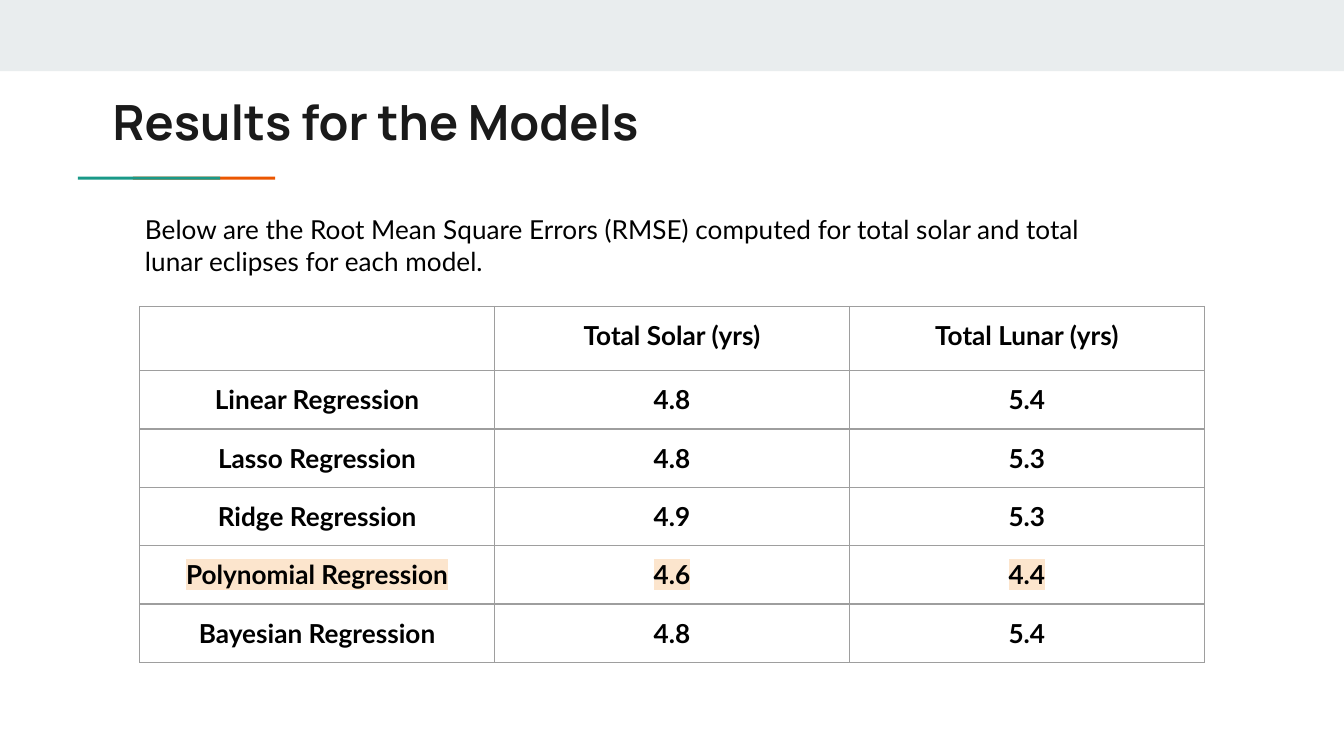
from typing import NamedTuple

from lxml import etree
from pptx import Presentation
from pptx import util as u
from pptx.dml import color
from pptx.enum import shapes, text
from pptx.oxml import ns

Pt = u.Pt


class Bar(NamedTuple):
    left: float
    top: float
    width: float
    height: float
    fill: str


class Row(NamedTuple):
    name: str
    solar: str
    lunar: str
    mark: str = ""


BARS = [
    Bar(0, 0, 720, 38.2, "E9EDEE"),
    Bar(71.2, 94.7, 76.2, 1.6, "EB5600"),
    Bar(41.8, 94.7, 76.2, 1.6, "1A9988"),
]
ROWS = [
    Row("", "Total Solar (yrs)", "Total Lunar (yrs)"),
    Row("Linear Regression", "4.8", "5.4"),
    Row("Lasso Regression", "4.8", "5.3"),
    Row("Ridge Regression", "4.9", "5.3"),
    Row("Polynomial Regression", "4.6", "4.4", mark="FCE5CD"),
    Row("Bayesian Regression", "4.8", "5.4"),
]
INTRO = ("Below are the Root Mean Square Errors (RMSE) computed for total "
         "solar and total lunar eclipses for each model.")
PAD = 7.2
HEAD, BODY = 34.4, 31.1
COL = 190.1


def rgb(code: str) -> color.RGBColor:
    return color.RGBColor.from_string(code)


def fill_in(parent, code: str, tag: str = "a:solidFill"):
    """Add a colour element under parent and return it."""
    node = etree.SubElement(parent, ns.qn(tag))
    if tag == "a:solidFill":
        etree.SubElement(node, ns.qn("a:srgbClr"), val=code)
    else:
        etree.SubElement(node, ns.qn("a:srgbClr")).set("val", code)
    return node


def write(frame, words: str, *, size: float = 14, face: str = "Lato",
          ink: str = "000000", bold: bool = False, mark: str = "",
          align=text.PP_ALIGN.LEFT) -> None:
    para = frame.paragraphs[0]
    para.alignment = align
    run = para.add_run()
    run.text = words
    font = run.font
    font.size, font.name, font.bold = Pt(size), face, bold
    font.color.rgb = rgb(ink)
    if mark:
        props = run._r.get_or_add_rPr()
        glow = fill_in(props, mark, "a:highlight")
        props.find(ns.qn("a:solidFill")).addnext(glow)


def add_bar(slide, bar: Bar) -> None:
    shape = slide.shapes.add_shape(
        shapes.MSO_SHAPE.RECTANGLE, *map(Pt, bar[:4]))
    shape.shadow.inherit = False
    shape.fill.solid()
    shape.fill.fore_color.rgb = rgb(bar.fill)
    shape.line.fill.background()


def add_text(slide, left: float, top: float, width: float, height: float,
             words: str, **style) -> None:
    box = slide.shapes.add_textbox(*map(Pt, (left, top, width, height)))
    frame = box.text_frame
    frame.word_wrap = True
    frame.margin_left = frame.margin_right = Pt(PAD)
    frame.margin_top = frame.margin_bottom = Pt(PAD)
    write(frame, words, **style)


def add_edges(cell, code: str, width: float) -> None:
    props = cell._tc.get_or_add_tcPr()
    for spot, side in enumerate(("lnL", "lnR", "lnT", "lnB")):
        line = etree.Element(ns.qn("a:" + side), w=str(Pt(width)))
        fill_in(line, code)
        props.insert(spot, line)


def add_grid(slide, left: float, top: float, rows: list[Row]) -> None:
    tall = HEAD + BODY * (len(rows) - 1)
    grid = slide.shapes.add_table(
        len(rows), 3, Pt(left), Pt(top), Pt(COL * 3), Pt(tall)).table
    grid.first_row = grid.horz_banding = False
    for col in grid.columns:
        col.width = Pt(COL)
    for i, row in enumerate(rows):
        grid.rows[i].height = Pt(BODY if i else HEAD)
        for j, words in enumerate(row[:3]):
            cell = grid.cell(i, j)
            pad = Pt(PAD if words else 0)
            cell.margin_left = cell.margin_right = pad
            cell.margin_top = cell.margin_bottom = pad
            cell.fill.background()
            add_edges(cell, "9E9E9E", 0.75)
            if words:
                write(cell.text_frame, words, bold=True, mark=row.mark,
                      align=text.PP_ALIGN.CENTER)


def main() -> None:
    deck = Presentation()
    deck.slide_width, deck.slide_height = Pt(720), Pt(405)
    slide = deck.slides.add_slide(deck.slide_layouts[6])

    # Top band and two-colour rule
    for bar in BARS:
        add_bar(slide, bar)

    # Title, results table and introduction
    add_text(slide, 53.3, 42, 605.5, 42.5, "Results for the Models",
             size=26, face="Manrope", ink="1A1A1A", bold=True)
    add_grid(slide, 74.9, 164.2, ROWS)
    add_text(slide, 70.6, 107.3, 540, 42.5, INTRO)

    deck.save("out.pptx")


if __name__ == "__main__":
    main()
